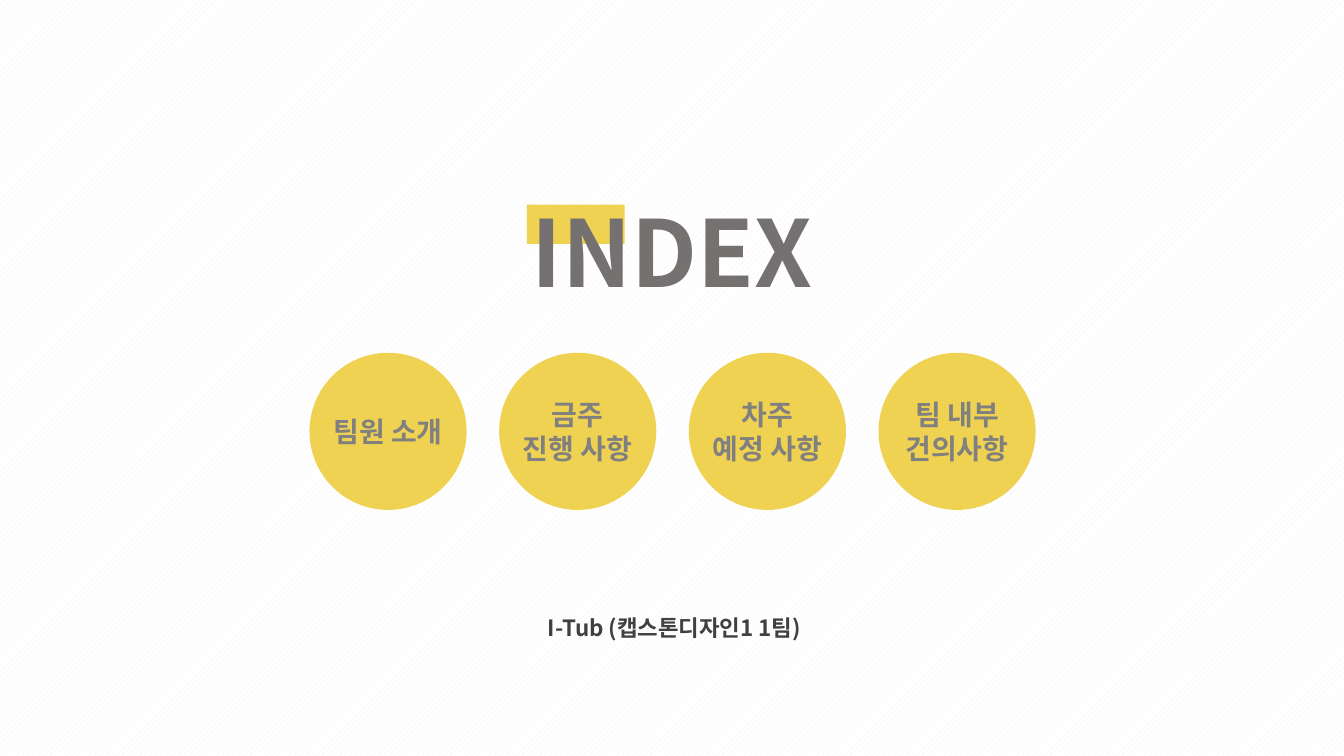
"""Builds the index slide with four yellow topic circles."""
from dataclasses import dataclass

from lxml.etree import SubElement
from pptx import Presentation
from pptx.dml.color import RGBColor
from pptx.enum.dml import MSO_PATTERN
from pptx.enum.shapes import MSO_SHAPE
from pptx.enum.text import MSO_AUTO_SIZE, PP_ALIGN
from pptx.oxml.ns import qn
from pptx.util import Cm, Pt

TITLE = "INDEX"
TOPICS = [
    ["팀원 소개"],
    ["금주", "진행 사항"],
    ["차주", "예정 사항"],
    ["팀 내부", "건의사항"],
]
TEAM = "I-Tub (캡스톤디자인1 1팀)"


@dataclass(frozen=True)
class Theme:
    font: str = "Noto Sans CJK KR"
    paper: str = "FFFFFF"
    stripe: str = "F2F2F2"
    accent: str = "F0D252"
    title: str = "767171"
    label: str = "808080"
    team: str = "404040"
    title_size: int = 66
    label_size: int = 20
    team_size: int = 16


THEME = Theme()
LEFT, TOP, SIZE, PITCH = 7.8, 8.89, 3.96, 4.78
LABEL_WIDTH, LINE, INSET = 3.6, 0.84, 0.28


def rgb(code):
    return RGBColor.from_string(code)


def add_block(shapes, kind, box):
    block = shapes.add_shape(kind, *map(Cm, box))
    block.shadow.inherit = False
    block.fill.solid()
    block.fill.fore_color.rgb = rgb(THEME.accent)
    block.line.fill.background()


def add_text(shapes, lines, box, size, color, align=PP_ALIGN.CENTER, wrap=True):
    frame = shapes.add_textbox(*map(Cm, box)).text_frame
    frame.word_wrap = wrap
    frame.auto_size = MSO_AUTO_SIZE.SHAPE_TO_FIT_TEXT
    for i, line in enumerate(lines):
        para = frame.add_paragraph() if i else frame.paragraphs[0]
        para.alignment = align
        run = para.add_run()
        run.text = line
        run.font.name = THEME.font
        run.font.size = Pt(size)
        run.font.bold = True
        run.font.color.rgb = rgb(color)
        SubElement(run.font._element, qn("a:ea")).set("typeface", THEME.font)


def add_topic(slide, index, lines):
    shapes = slide.shapes.add_group_shape().shapes
    left = LEFT + index * PITCH
    add_block(shapes, MSO_SHAPE.OVAL, (left, TOP, SIZE, SIZE))
    height = len(lines) * LINE + INSET
    box = (left + (SIZE - LABEL_WIDTH) / 2, TOP + (SIZE - height) / 2,
           LABEL_WIDTH, height)
    add_text(shapes, lines, box, THEME.label_size, THEME.label, wrap=False)


def main():
    deck = Presentation()
    deck.slide_width, deck.slide_height = Cm(33.87), Cm(19.05)
    slide = deck.slides.add_slide(deck.slide_layouts[6])
    fill = slide.background.fill
    fill.patterned()
    fill.pattern = MSO_PATTERN.WIDE_UPWARD_DIAGONAL
    fill.fore_color.rgb = rgb(THEME.stripe)
    fill.back_color.rgb = rgb(THEME.paper)

    add_text(slide.shapes, [TEAM], (13.56, 15.34, 7.39, 0.94),
             THEME.team_size, THEME.team, PP_ALIGN.LEFT)
    add_block(slide.shapes, MSO_SHAPE.RECTANGLE, (13.28, 5.16, 2.46, 0.99))
    add_text(slide.shapes, [TITLE], (10.06, 4.78, 13.74, 3.07),
             THEME.title_size, THEME.title)
    for index, lines in enumerate(TOPICS):
        add_topic(slide, index, lines)
    deck.save("out.pptx")


if __name__ == "__main__":
    main()
